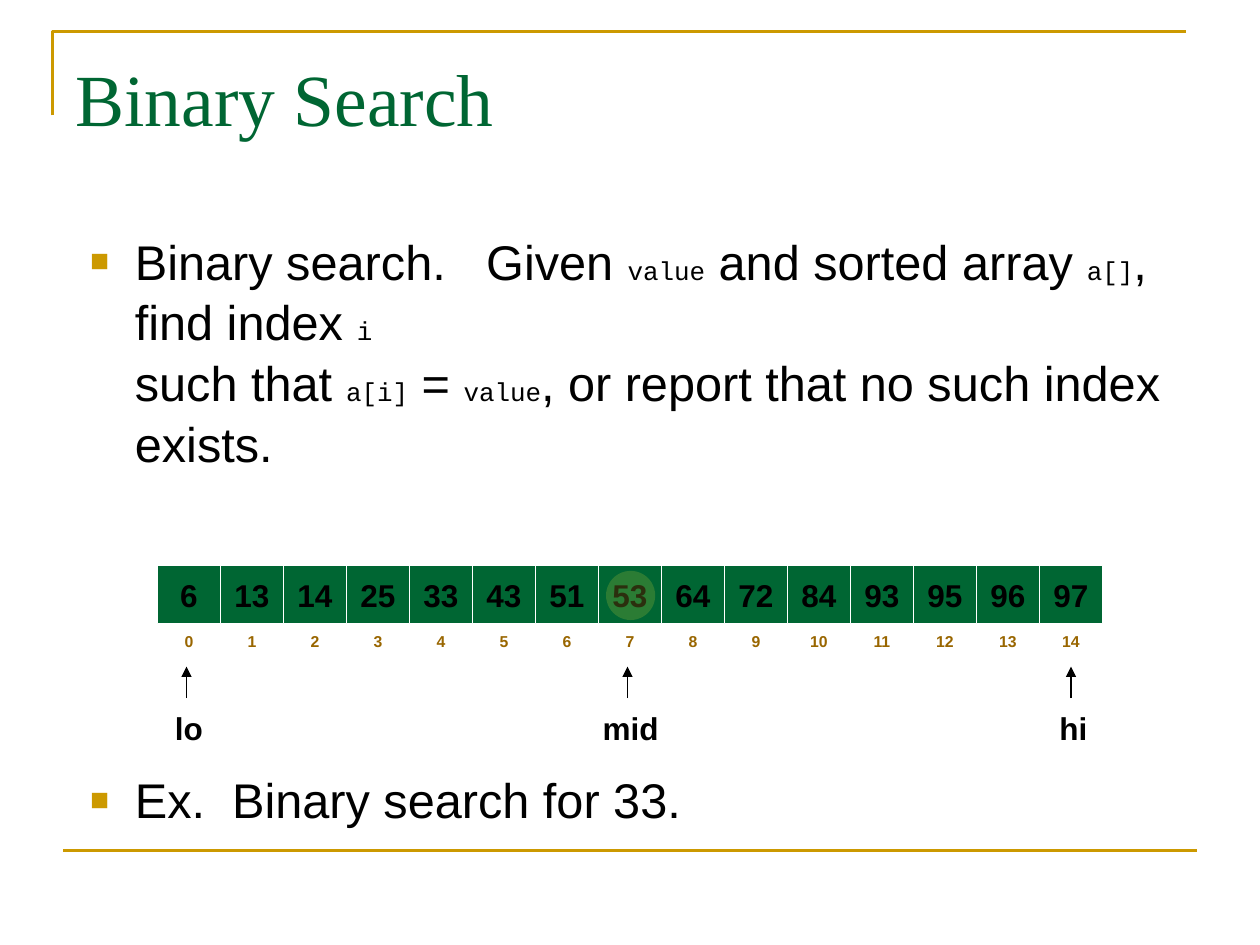
from lxml import etree
from pptx import Presentation, util as u
from pptx.dml.color import RGBColor
from pptx.enum import shapes, text
from pptx.oxml.ns import qn

Pt = u.Pt
COLORS = {"green": "006633", "gold": "CC9900", "brown": "996600",
          "black": "000000", "white": "FFFFFF", "highlight": "AFBF39"}
VALUES = [6, 13, 14, 25, 33, 43, 51, 53, 64, 72, 84, 93, 95, 96, 97]
MARKERS = [("lo", 106.6, 107.9), ("mid", 358.6, 360.4), ("hi", 612, 613.4)]
DEFINITION = [("Binary search.   Given ", "value"), (" and sorted array ", "a[]"),
              (", find index ", "i\n"), ("such that ", "a[i]"), (" = ", "value"),
              (", or report that no such index exists.", "")]


def rgb(name):
    return RGBColor.from_string(COLORS[name])


def style(font, size, color="black", face="Arial", bold=False):
    font.size, font.name, font.bold = Pt(size), face, bold
    font.color.rgb = rgb(color)


def add_text(page, left, top, width, height, wrap=True):
    box = page.shapes.add_textbox(Pt(left), Pt(top), Pt(width), Pt(height))
    box.text_frame.word_wrap = wrap
    return box.text_frame


def add_line(page, x1, y1, x2, y2, color, weight, arrow=False):
    line = page.shapes.add_connector(
        shapes.MSO_CONNECTOR.STRAIGHT, Pt(x1), Pt(y1), Pt(x2), Pt(y2))
    line.line.color.rgb = rgb(color)
    line.line.width = Pt(weight)
    if arrow:
        etree.SubElement(line.line._get_or_add_ln(), qn("a:tailEnd"), type="triangle")
    etree.SubElement(line._element.spPr, qn("a:effectLst"))


def add_bullet(para):
    props = para._p.get_or_add_pPr()
    props.set("marL", str(Pt(34)))
    props.set("indent", str(-Pt(25.5)))
    color = etree.SubElement(props, qn("a:buClr"))
    etree.SubElement(color, qn("a:srgbClr"), val=COLORS["gold"])
    etree.SubElement(props, qn("a:buSzPct"), val="65000")
    etree.SubElement(props, qn("a:buFont"), typeface="Arial")
    etree.SubElement(props, qn("a:buChar"), char="■")


def draw_frame(page, left, top, width, height):
    # Corner above the title and rule at the foot
    pen = page.shapes.build_freeform(Pt(left), Pt(top + 48), scale=1.0)
    pen.add_line_segments([(Pt(left), Pt(top)), (Pt(left + width), Pt(top))], close=False)
    corner = pen.convert_to_shape()
    corner.shadow.inherit = False
    corner.fill.background()
    corner.line.color.rgb = rgb("gold")
    corner.line.width = Pt(1.5)
    foot = top + height
    add_line(page, left + 6, foot, left + 6 + width, foot, "gold", 1.5)


def draw_title(page, left, top, width, height):
    frame = add_text(page, left, top, width, height)
    frame.margin_top = Pt(8.5)
    frame.text = "Binary Search"
    style(frame.paragraphs[0].runs[0].font, 42, "green", "Times New Roman")


def draw_body(page, left, top, width, height):
    frame = add_text(page, left, top, width, height)
    frame.margin_top = Pt(5)

    # Definition, with code words in a small fixed-width face
    para = frame.paragraphs[0]
    add_bullet(para)
    para.line_spacing = 1.04
    for words, code in DEFINITION:
        for part, size, face in [(words, 27.8, "Arial"), (code, 14.8, "Courier New")]:
            if part:
                span = para.add_run()
                span.text = part.strip("\n")
                style(span.font, size, face=face)
            if part.endswith("\n"):
                para.add_line_break()

    # Example, below the room kept for the array
    para = frame.add_paragraph()
    add_bullet(para)
    para.line_spacing = 1.04
    para.space_before = Pt(169)
    para.text = "Ex.  Binary search for 33."
    style(para.runs[0].font, 27.8)


def draw_cell(page, left, top, width, height, label, size, color, fill=None):
    box = page.shapes.add_shape(
        shapes.MSO_SHAPE.RECTANGLE, Pt(left), Pt(top), Pt(width), Pt(height))
    box.shadow.inherit = False
    if fill:
        box.fill.solid()
        box.fill.fore_color.rgb = rgb(fill)
    else:
        box.fill.background()
    box.line.color.rgb = rgb("white")
    box.line.width = Pt(0.75)
    frame = box.text_frame
    frame.word_wrap = False
    frame.vertical_anchor = text.MSO_ANCHOR.MIDDLE
    frame.text = label
    frame.paragraphs[0].alignment = text.PP_ALIGN.CENTER
    style(frame.paragraphs[0].runs[0].font, size, color, bold=True)


def draw_array(page, left, top, width, height):
    # Values with their indexes underneath
    step = width / len(VALUES)
    for index, value in enumerate(VALUES):
        x = left + index * step
        draw_cell(page, x, top + 35.3, step, 15.1, str(index), 9, "brown")
        draw_cell(page, x, top, step, 33.1, str(value), 18, "black", "green")

    # Pointers
    for label, arrow_x, label_x in MARKERS:
        frame = add_text(page, label_x - 23.4, top + 78.5, 46.8, 28.8, wrap=False)
        frame.text = label
        frame.paragraphs[0].alignment = text.PP_ALIGN.CENTER
        style(frame.paragraphs[0].runs[0].font, 18, bold=True)
        add_line(page, arrow_x, top + 75.6, arrow_x, top + 57.6, "black", 0.75, arrow=True)

    # Translucent spot on the middle value
    middle = left + width / 2
    spot = page.shapes.add_shape(
        shapes.MSO_SHAPE.OVAL, Pt(middle - 13.7), Pt(top + 2.9), Pt(28.1), Pt(28.1))
    spot.shadow.inherit = False
    spot.line.fill.background()
    spot.fill.solid()
    spot.fill.fore_color.rgb = rgb("highlight")
    color = spot._element.spPr.find(qn("a:solidFill")).find(qn("a:srgbClr"))
    etree.SubElement(color, qn("a:alpha"), val="25000")


def main():
    deck = Presentation()
    deck.slide_width, deck.slide_height = Pt(720), Pt(540)
    page = deck.slides.add_slide(deck.slide_layouts[6])
    draw_frame(page, 30, 18, 648, 468)
    draw_title(page, 36, 21.6, 648, 90)
    draw_body(page, 36, 126, 648, 356.4)
    draw_array(page, 90, 323.3, 540, 107.3)
    deck.save("out.pptx")


if __name__ == "__main__":
    main()
